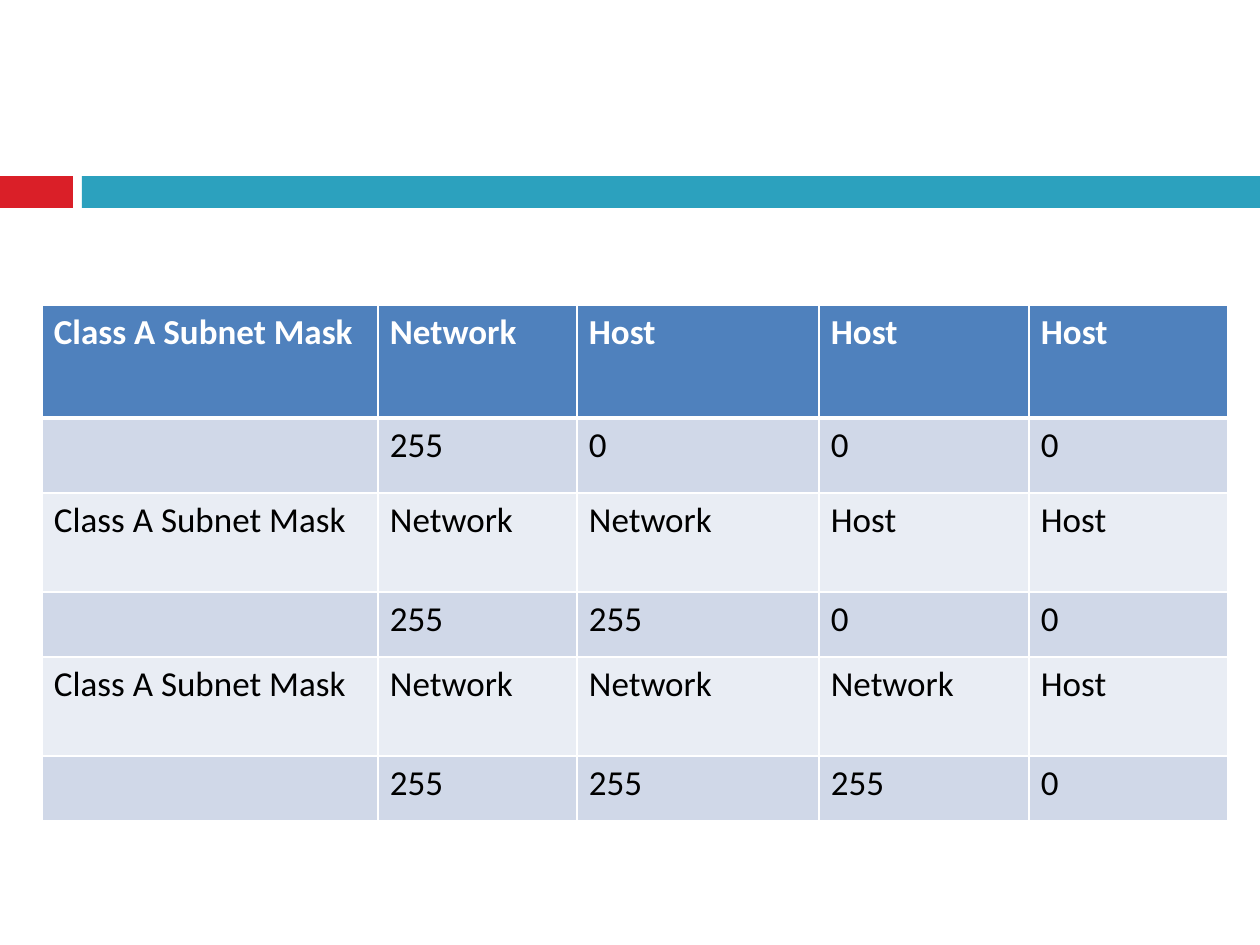
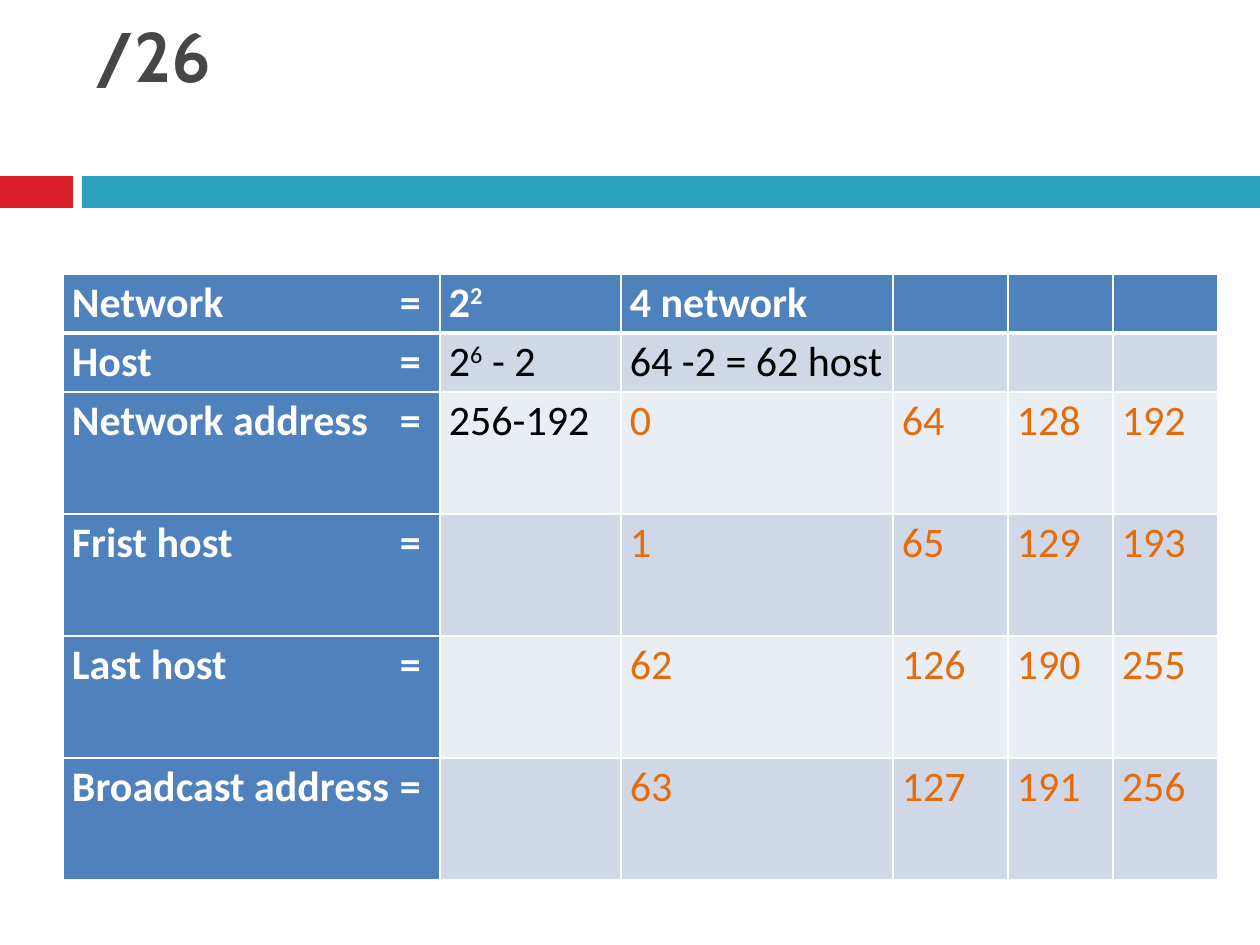
from lxml import etree
from pptx import Presentation
from pptx.dml.color import RGBColor
from pptx.enum.shapes import MSO_SHAPE
from pptx.enum.text import MSO_ANCHOR, PP_ALIGN
from pptx.oxml.ns import qn
from pptx.util import Pt

RECTANGLE = MSO_SHAPE.RECTANGLE
TOP, LEFT = MSO_ANCHOR.TOP, PP_ALIGN.LEFT

# Content
CLASS_MASK = "Class A Subnet Mask"
MASKS = {
    "at": (42, 305),
    "columns": (336, 199, 242, 210, 199),
    "rows": (113, 75, 99, 65, 99, 65),
    "size": 20,
    "margins": (12, 6, 12, 6),
    "spacing": 1.0,
    "label_column": False,
    "cells": [
        [CLASS_MASK, "Network", "Host", "Host", "Host"],
        ["", "255", "0", "0", "0"],
        [CLASS_MASK, "Network", "Network", "Host", "Host"],
        ["", "255", "255", "0", "0"],
        [CLASS_MASK, "Network", "Network", "Network", "Host"],
        ["", "255", "255", "255", "0"],
    ],
}
# A cell is plain text, or a list of (text, is superscript) spans
SUBNETS = {
    "at": (63, 274),
    "columns": (377, 181, 272, 115, 105, 105),
    "rows": (59, 59, 122, 122, 122, 122),
    "size": 24,
    "margins": (9, 0, 6, 0),
    "spacing": 1.07,
    "label_column": True,
    "cells": [
        ["Network\t=", [("2", False), ("2", True)], "4 network", "", "", ""],
        ["Host\t=", [("2", False), ("6", True), (" - 2", False)],
         "64 -2 = 62 host", "", "", ""],
        ["Network address\t=", "256-192", "0", "64", "128", "192"],
        ["Frist host\t=", "", "1", "65", "129", "193"],
        ["Last host\t=", "", "62", "126", "190", "255"],
        ["Broadcast address\t=", "", "63", "127", "191", "256"],
    ],
}
PAGES = [("", MASKS), ("/26", SUBNETS)]

# Shared look
COLORS = {
    "red": "DA1F28", "teal": "2CA1BE", "title": "464646",
    "header": "4F81BD", "odd": "D0D8E8", "even": "E9EDF4",
    "white": "FFFFFF", "black": "000000", "address": "E46C0A",
}
BANDS = [("red", 0, 73), ("teal", 82, 1178)]
BAND_TOP, BAND_HEIGHT = 176, 32
TITLE_BOX = (96, 13, 1070, 170)
EQUALS_TAB = 328
TITLE_ONLY, BLANK = 5, 6


def px(length):
    return round(length * 914400 / 126)


def color(name):
    return RGBColor.from_string(COLORS[name])


def style(font, name, size, ink, bold):
    font.name, font.size, font.bold = name, Pt(size), bold
    font.color.rgb = color(ink)


def add_bands(page):
    for name, left, width in BANDS:
        band = page.shapes.add_shape(
            RECTANGLE, px(left), px(BAND_TOP), px(width), px(BAND_HEIGHT))
        band.shadow.inherit = False
        band.fill.solid()
        band.fill.fore_color.rgb = color(name)
        band.line.fill.background()


def fill_title(page, text):
    title = page.shapes.title
    title.left, title.top, title.width, title.height = map(px, TITLE_BOX)
    frame = title.text_frame
    frame.margin_left = frame.margin_top = 0
    frame.margin_right = frame.margin_bottom = 0
    frame.vertical_anchor = TOP
    para = frame.paragraphs[0]
    para.alignment = LEFT
    span = para.add_run()
    span.text = text
    style(span.font, "Cabin", 40, "title", True)


def add_borders(cell, row):
    widths = {"a:lnL": 1, "a:lnR": 1,
              "a:lnT": 3 if row == 1 else 1, "a:lnB": 3 if row == 0 else 1}
    properties = cell._tc.get_or_add_tcPr()
    for edge, width in widths.items():
        line = etree.SubElement(properties, qn(edge), w=str(Pt(width)))
        solid = etree.SubElement(line, qn("a:solidFill"))
        etree.SubElement(solid, qn("a:srgbClr"), val=COLORS["white"])


def add_tab(para, position):
    tabs = etree.SubElement(para._p.get_or_add_pPr(), qn("a:tabLst"))
    etree.SubElement(tabs, qn("a:tab"), pos=str(px(position)), algn="l")


def fill_cell(cell, content, row, column, spec):
    is_label = row == 0 or (spec["label_column"] and column == 0)
    is_address = spec["label_column"] and row >= 2 and column >= 2
    add_borders(cell, row)
    cell.fill.solid()
    cell.fill.fore_color.rgb = color(
        "header" if is_label else "odd" if row % 2 else "even")
    (cell.margin_left, cell.margin_top,
     cell.margin_right, cell.margin_bottom) = map(px, spec["margins"])
    if not content:
        return
    para = cell.text_frame.paragraphs[0]
    if "\t" in content:
        add_tab(para, EQUALS_TAB)
    para.line_spacing = spec["spacing"]
    ink = "white" if is_label else "address" if is_address else "black"
    spans = [(content, False)] if isinstance(content, str) else content
    for text, is_superscript in spans:
        span = para.add_run()
        span.text = text
        style(span.font, "Calibri", spec["size"], ink, is_label)
        if is_superscript:
            span._r.get_or_add_rPr().set("baseline", "30000")


def add_grid(page, spec):
    left, top = spec["at"]
    columns, rows = spec["columns"], spec["rows"]
    table = page.shapes.add_table(
        len(rows), len(columns), px(left), px(top),
        px(sum(columns)), px(sum(rows))).table
    table.first_col = spec["label_column"]
    for column, width in enumerate(columns):
        table.columns[column].width = px(width)
    for row, height in enumerate(rows):
        table.rows[row].height = px(height)
        for column, content in enumerate(spec["cells"][row]):
            fill_cell(table.cell(row, column), content, row, column, spec)


def main():
    deck = Presentation()
    deck.slide_width, deck.slide_height = px(1260), px(945)
    for title, spec in PAGES:
        layout = deck.slide_layouts[TITLE_ONLY if title else BLANK]
        page = deck.slides.add_slide(layout)
        add_bands(page)
        if title:
            fill_title(page, title)
        add_grid(page, spec)
    deck.save("out.pptx")


if __name__ == "__main__":
    main()
